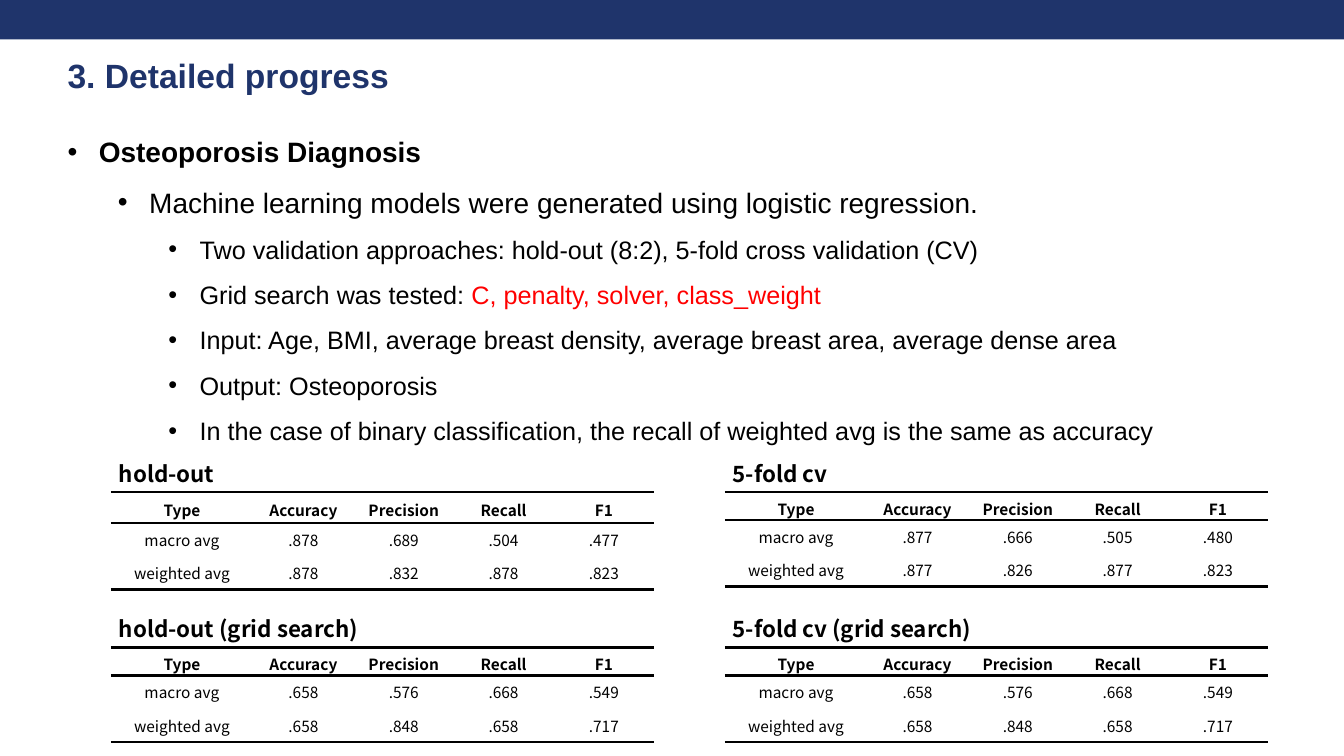
from lxml import etree
from pptx import Presentation
from pptx.dml.color import RGBColor
from pptx.enum.shapes import MSO_SHAPE
from pptx.enum.text import MSO_ANCHOR, PP_ALIGN
from pptx.oxml.ns import qn
from pptx.util import Inches, Pt

RECTANGLE = MSO_SHAPE.RECTANGLE
MIDDLE = MSO_ANCHOR.MIDDLE
CENTER = PP_ALIGN.CENTER

COLORS = {"navy": "1F346B", "black": "000000", "red": "FF0000", "white": "FFFFFF"}
HEADING_FONT = "Arial"
TABLE_FONT = "Noto Sans CJK KR"

SLIDE_WIDTH, SLIDE_HEIGHT = 13.33, 7.5
MARGIN = 0.67
TABLE_LEFT, TABLE_TOP = 1.1, 4.88
COLUMN_STEP, ROW_STEP = 6.09, 1.54
COLUMN_WIDTHS = [1.41, 1, 0.99, 0.99, 1]
BODY_ROW = 0.33
INDENT, LEVEL_STEP = 0.31, 0.5
RULE_WIDTH = 2.25

# level, size, bold, pieces of (text, color)
OUTLINE = [
    (0, 20, True, [("Osteoporosis Diagnosis", "black")]),
    (1, 20, False, [("Machine learning models were generated using logistic regression.", "black")]),
    (2, 18, False, [("Two validation approaches: hold-out (8:2), 5-fold cross validation (CV)", "black")]),
    (2, 18, False, [("Grid search was tested: ", "black"),
                    ("C, penalty, solver, class_weight", "red")]),
    (2, 18, False, [("Input: Age, BMI, average breast density, average breast area, average dense area",
                     "black")]),
    (2, 18, False, [("Output: Osteoporosis", "black")]),
    (2, 18, False, [("In the case of binary classification, the recall of weighted avg is the same as accuracy",
                     "black")]),
]

HEADER = ["Type", "Accuracy", "Precision", "Recall", "F1"]
GRID_SEARCH_SCORES = [
    ["macro avg", ".658", ".576", ".668", ".549"],
    ["weighted avg", ".658", ".848", ".658", ".717"],
]
# caption, grid column, grid row, header height, scores
RESULTS = [
    ("hold-out", 0, 0, 0.31, [
        ["macro avg", ".878", ".689", ".504", ".477"],
        ["weighted avg", ".878", ".832", ".878", ".823"],
    ]),
    ("5-fold cv", 1, 0, 0.28, [
        ["macro avg", ".877", ".666", ".505", ".480"],
        ["weighted avg", ".877", ".826", ".877", ".823"],
    ]),
    ("hold-out (grid search)", 0, 1, 0.28, GRID_SEARCH_SCORES),
    ("5-fold cv (grid search)", 1, 1, 0.28, GRID_SEARCH_SCORES),
]


def color(name):
    return RGBColor.from_string(COLORS[name])


def style_font(font, name, size, bold, color_name):
    font.name = name
    font.size = Pt(size)
    font.bold = bold
    font.color.rgb = color(color_name)


def add_text_frame(slide, left, top, width, height):
    box = slide.shapes.add_textbox(Inches(left), Inches(top), Inches(width), Inches(height))
    frame = box.text_frame
    frame.word_wrap = True
    return frame


def clear_margins(frame):
    frame.margin_left = frame.margin_right = frame.margin_top = frame.margin_bottom = 0


def add_top_bar(slide):
    bar = slide.shapes.add_shape(RECTANGLE, 0, 0, Inches(SLIDE_WIDTH), Inches(0.39))
    bar.shadow.inherit = False
    bar.fill.solid()
    bar.fill.fore_color.rgb = color("navy")
    bar.line.fill.background()


def add_title(slide, text):
    frame = add_text_frame(slide, MARGIN, 0.49, 12.42, 0.43)
    clear_margins(frame)
    frame.margin_top = Inches(0.01)
    title = frame.paragraphs[0]
    title.text = text
    title.line_spacing = Pt(32)
    style_font(title.font, HEADING_FONT, 24, True, "navy")


def set_bullet(paragraph, level):
    properties = paragraph._p.get_or_add_pPr()
    properties.set("marL", str(Inches(INDENT + level * LEVEL_STEP)))
    properties.set("indent", str(-Inches(INDENT)))
    etree.SubElement(properties, qn("a:buFont")).set("typeface", HEADING_FONT)
    etree.SubElement(properties, qn("a:buChar")).set("char", "•")


def add_outline(slide):
    frame = add_text_frame(slide, MARGIN, 1.17, 12.17, 3.23)
    clear_margins(frame)
    for index, (level, size, bold, pieces) in enumerate(OUTLINE):
        point = frame.paragraphs[0] if index == 0 else frame.add_paragraph()
        point.level = level
        point.line_spacing = 1.5
        set_bullet(point, level)
        style_font(point.font, HEADING_FONT, size, bold, pieces[0][1])
        for text, color_name in pieces:
            run = point.add_run()
            run.text = text
            if color_name != pieces[0][1]:
                run.font.color.rgb = color(color_name)


def set_borders(cell, ruled_sides):
    """Draw black rules on the given sides and no line on the others."""
    properties = cell._tc.get_or_add_tcPr()
    for side in "LRTB":
        line = etree.SubElement(properties, qn(f"a:ln{side}"))
        if side in ruled_sides:
            line.set("w", str(Pt(RULE_WIDTH)))
            fill = etree.SubElement(line, qn("a:solidFill"))
            etree.SubElement(fill, qn("a:srgbClr")).set("val", COLORS["black"])
        else:
            etree.SubElement(line, qn("a:noFill"))


def fill_cell(cell, text, is_header, ruled_sides):
    set_borders(cell, ruled_sides)
    cell.fill.solid()
    cell.fill.fore_color.rgb = color("white")
    cell.vertical_anchor = MIDDLE
    cell.margin_left = cell.margin_right = Inches(0.09)
    cell.margin_top = Inches(0.05)
    cell.margin_bottom = 0 if is_header else Inches(0.05)
    entry = cell.text_frame.paragraphs[0]
    entry.text = text
    entry.alignment = CENTER
    style_font(entry.font, TABLE_FONT, 11, is_header, "black")


def add_result(slide, caption, grid_column, grid_row, header_height, scores):
    left = TABLE_LEFT + grid_column * COLUMN_STEP
    top = TABLE_TOP + grid_row * ROW_STEP
    rows = [HEADER] + scores
    heights = [header_height] + [BODY_ROW] * len(scores)
    table = slide.shapes.add_table(
        len(rows), len(HEADER), Inches(left), Inches(top),
        Inches(sum(COLUMN_WIDTHS)), Inches(sum(heights))).table
    table.horz_banding = False
    for column, width in zip(table.columns, COLUMN_WIDTHS):
        column.width = Inches(width)
    rules = ["TB", "T", "B"]
    for r, (entries, height) in enumerate(zip(rows, heights)):
        table.rows[r].height = Inches(height)
        for c, text in enumerate(entries):
            fill_cell(table.cell(r, c), text, r == 0, rules[r])

    label = add_text_frame(slide, left - 0.02, top - 0.5, 5.34, 0.45).paragraphs[0]
    label.text = caption
    label.line_spacing = 1.5
    style_font(label.font, TABLE_FONT, 16, True, "black")


def main():
    presentation = Presentation()
    presentation.slide_width = Inches(SLIDE_WIDTH)
    presentation.slide_height = Inches(SLIDE_HEIGHT)
    slide = presentation.slides.add_slide(presentation.slide_layouts[6])
    add_top_bar(slide)
    add_title(slide, "3. Detailed progress")
    add_outline(slide)
    for result in RESULTS:
        add_result(slide, *result)
    presentation.save("out.pptx")


if __name__ == "__main__":
    main()
